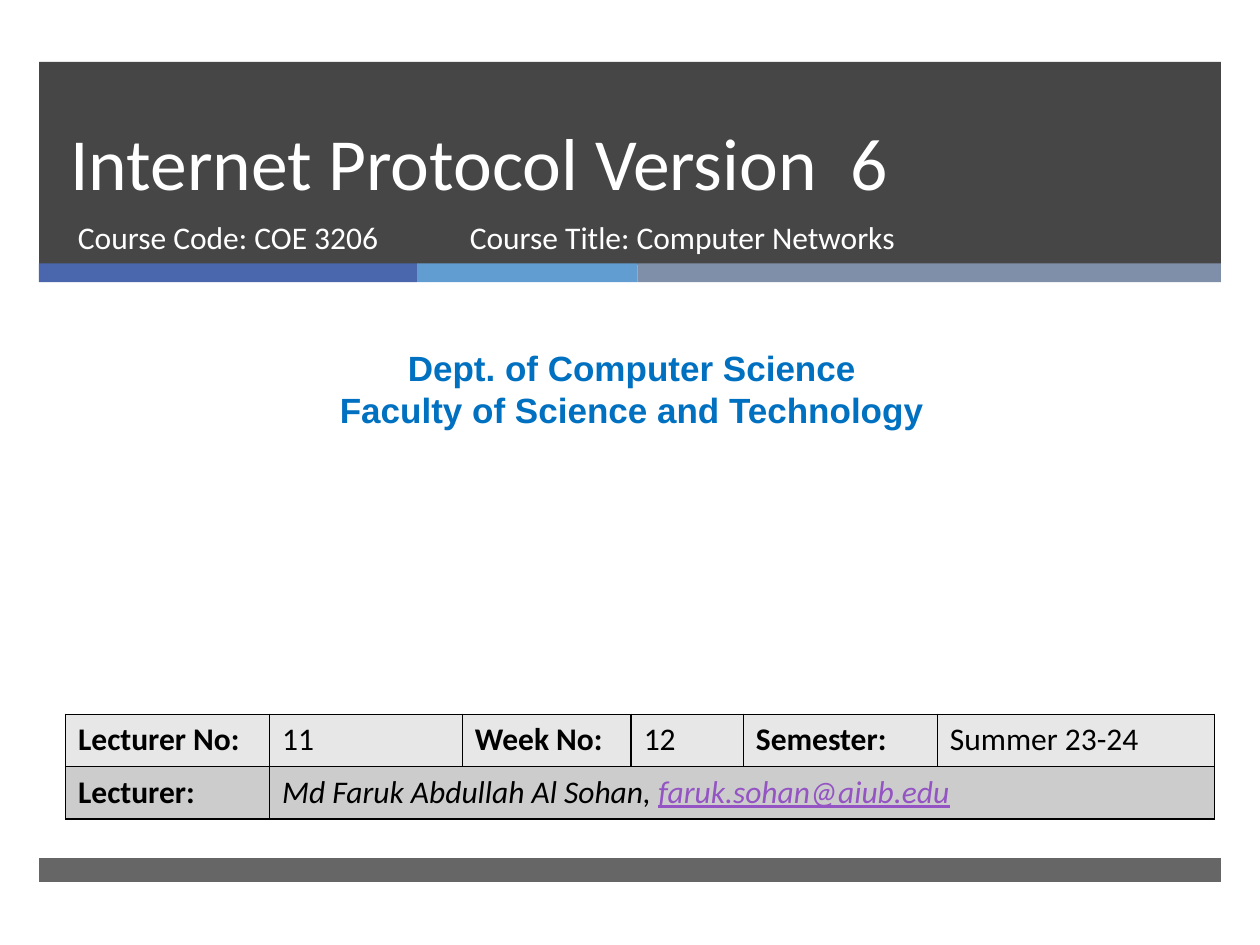
from pptx import Presentation
from pptx.dml.color import RGBColor
from pptx.enum.shapes import MSO_SHAPE
from pptx.enum.text import MSO_ANCHOR, PP_ALIGN
from pptx.oxml import parse_xml
from pptx.oxml.ns import nsdecls
from pptx.util import Inches, Pt
from lxml.etree import SubElement
from pptx.oxml.ns import qn

WHITE = RGBColor(255, 255, 255)
BLACK = RGBColor(0, 0, 0)
DARK = RGBColor(0x26, 0x26, 0x26)
BLUE = RGBColor(0x00, 0x70, 0xC0)
LINK = RGBColor(0x94, 0x54, 0xC3)
LIGHT = RGBColor(0xE7, 0xE7, 0xE7)
GREY = RGBColor(0xCC, 0xCC, 0xCC)

LEFT, WIDE = 0.31, 9.38
BANDS = [(0.49, 1.61, 85), (6.81, 0.19, 70)]
STRIPES = [(3, RGBColor(0x4A, 0x66, 0xAC)),
           (1.75, RGBColor(0x62, 0x9D, 0xD1)),
           (4.63, RGBColor(0x7F, 0x8F, 0xA9))]
TITLE = "Internet Protocol Version  6"
COURSE = [("Course Code: COE 3206", 0.52, 8.48),
          ("Course Title: Computer Networks", 3.63, 4.55)]
DEPT = "Dept. of Computer Science\nFaculty of Science and Technology"
COLS = [1.62, 1.53, 1.34, 0.89, 1.54, 2.2]
ROWS = [["Lecturer No:", "11", "Week No:", "12", "Semester:", "Summer 23-24"],
        ["Lecturer:", "Md Faruk Abdullah Al Sohan, "]]
MAIL = "faruk.sohan@aiub.edu"


def bar(x, y, w, h, color, alpha=100):
    shape = slide.shapes.add_shape(
        MSO_SHAPE.RECTANGLE, *map(Inches, (x, y, w, h)))
    shape.shadow.inherit = False
    shape.fill.solid()
    shape.fill.fore_color.rgb = color
    shape.line.fill.background()
    if alpha < 100:
        tone = shape.fill._xPr.find(".//" + qn("a:srgbClr"))
        SubElement(tone, qn("a:alpha")).set("val", str(alpha * 1000))


def style(run, size, color, face="Calibri", bold=False):
    font = run.font
    font.size, font.name, font.bold = Pt(size), face, bold
    font.color.rgb = color


def label(text, place, size, color, face="Calibri", bold=False):
    frame = slide.shapes.add_textbox(*map(Inches, place)).text_frame
    frame.word_wrap = True
    frame.text = text
    for para in frame.paragraphs:
        for run in para.runs:
            style(run, size, color, face, bold)
    return frame


def border(cell):
    props = cell._tc.get_or_add_tcPr()
    for spot, side in enumerate("LRTB"):
        props.insert(spot, parse_xml(
            f'<a:ln{side} {nsdecls("a")} w="12700"><a:solidFill>'
            f'<a:srgbClr val="{BLACK}"/></a:solidFill></a:ln{side}>'))


deck = Presentation()
deck.slide_width, deck.slide_height = Inches(10), Inches(7.5)
slide = deck.slides.add_slide(deck.slide_layouts[6])

for top, tall, alpha in BANDS:
    bar(LEFT, top, WIDE, tall, DARK, alpha)
edge = LEFT
for width, color in STRIPES:
    bar(edge, 2.09, width, 0.15, color)
    edge += width

title = label(TITLE, (0.46, 0.49, 8.54, 1.19), 42, WHITE)
title.vertical_anchor = MSO_ANCHOR.BOTTOM
title.paragraphs[0].line_spacing = Pt(46)
for text, x, width in COURSE:
    label(text, (x, 1.68, width, 0.53), 18, WHITE)
dept = label(DEPT, (0.08, 2.7, 9.87, 0.77), 20, BLUE, "Arial", True)
for para in dept.paragraphs:
    para.alignment = PP_ALIGN.CENTER

table = slide.shapes.add_table(
    len(ROWS), len(COLS), Inches(0.52), Inches(5.67),
    Inches(sum(COLS)), Inches(0.83)).table
for col, width in zip(table.columns, COLS):
    col.width = Inches(width)
table.cell(1, 1).merge(table.cell(1, 5))
for r, (texts, shade) in enumerate(zip(ROWS, (LIGHT, GREY))):
    for c in range(len(COLS)):
        cell = table.cell(r, c)
        cell.fill.solid()
        cell.fill.fore_color.rgb = shade
        border(cell)
        if c < len(texts):
            cell.text = texts[c]
            style(cell.text_frame.paragraphs[0].runs[0], 18, BLACK,
                  bold=c % 2 == 0)

person = table.cell(1, 1).text_frame.paragraphs[0]
mail = person.add_run()
mail.text = MAIL
style(mail, 18, LINK)
mail.font.underline = True
for run in person.runs:
    run.font.italic = True

deck.save("out.pptx")
